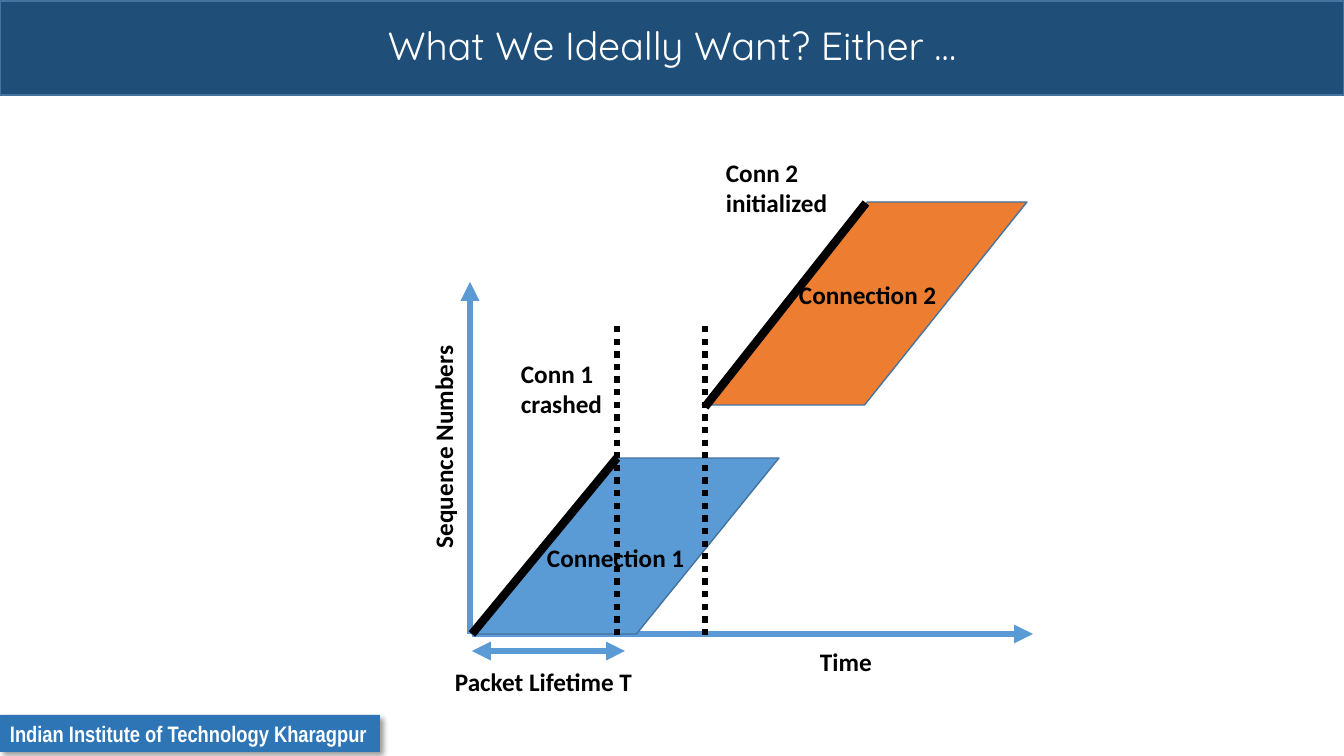
from lxml.etree import SubElement
from pptx import Presentation
from pptx.dml.color import RGBColor
from pptx.enum.dml import MSO_LINE
from pptx.enum.shapes import MSO_CONNECTOR, MSO_SHAPE
from pptx.enum.text import MSO_ANCHOR, MSO_AUTO_SIZE, PP_ALIGN
from pptx.oxml.ns import qn
from pptx.util import Emu, Pt

SLIDE_WIDTH, SLIDE_HEIGHT = 1344, 756
EMU_PER_PX = 12192000 / SLIDE_WIDTH

BLUE, ORANGE, OUTLINE = "5B9BD5", "ED7D31", "43739E"
BLACK, WHITE = "000000", "FFFFFF"

TITLE_FONT = {"name": "Quicksand", "size": Pt(28), "bold": False}
FOOTER_FONT = {"name": "Arial Narrow", "size": Pt(16), "bold": True}
LABEL_FONT = {"name": "Calibri", "size": Pt(18), "bold": True}

# Shared positions of the diagram
ORIGIN_X, AXIS_Y = 472, 634
CRASH_X, RESTART_X = 617, 705
CRASH_Y = 458


def px(*lengths):
    return [Emu(round(length * EMU_PER_PX)) for length in lengths]


def color(hex_value):
    return RGBColor.from_string(hex_value)


def write_text(shape, text, font_format, text_color, frame_format, align=PP_ALIGN.LEFT):
    for name, value in frame_format.items():
        setattr(shape.text_frame, name, value)
    paragraph = shape.text_frame.paragraphs[0]
    paragraph.alignment = align
    run = paragraph.add_run()
    run.text = text
    for name, value in font_format.items():
        setattr(run.font, name, value)
    run.font.color.rgb = color(text_color)
    return paragraph


def add_block(slide, kind, box, fill, outline=None):
    shape = slide.shapes.add_shape(kind, *px(*box))
    shape.shadow.inherit = False
    shape.fill.solid()
    shape.fill.fore_color.rgb = color(fill)
    if outline:
        shape.line.color.rgb = color(outline)
        shape.line.width = Pt(1)
    else:
        shape.line.fill.background()
    return shape


def add_parallelogram(slide, box, slant, fill):
    shape = add_block(slide, MSO_SHAPE.PARALLELOGRAM, box, fill, OUTLINE)
    shape.adjustments[0] = slant


def add_label(slide, text, box, wrap=False, rotation=0):
    label = slide.shapes.add_textbox(*px(*box))
    label.rotation = rotation
    frame_format = {"word_wrap": wrap, "auto_size": MSO_AUTO_SIZE.SHAPE_TO_FIT_TEXT}
    write_text(label, text, LABEL_FONT, BLACK, frame_format)


def add_line(slide, ends, line_color, width, dash=None, arrows=()):
    connector = slide.shapes.add_connector(MSO_CONNECTOR.STRAIGHT, *px(*ends))
    connector.line.color.rgb = color(line_color)
    connector.line.width = Pt(width)
    if dash:
        connector.line.dash_style = dash
    properties = connector.element.spPr
    for arrow in arrows:
        SubElement(properties.find(qn("a:ln")), qn(f"a:{arrow}"), type="triangle")
    SubElement(properties, qn("a:effectLst"))


def add_shadow(shape):
    effects = shape.element.spPr.find(qn("a:effectLst"))
    shadow = SubElement(effects, qn("a:outerShdw"), blurRad=str(Pt(4)),
                        dist=str(Pt(3)), dir=str(45 * 60000), algn="tl", rotWithShape="0")
    shade = SubElement(shadow, qn("a:srgbClr"), val=BLACK)
    SubElement(shade, qn("a:alpha"), val="40000")


def add_title(slide, text):
    band = add_block(slide, MSO_SHAPE.RECTANGLE, (0, 1, SLIDE_WIDTH, 94), "1F4E79", OUTLINE)
    frame_format = {"word_wrap": True, "vertical_anchor": MSO_ANCHOR.MIDDLE}
    paragraph = write_text(band, text, TITLE_FONT, WHITE, frame_format, PP_ALIGN.CENTER)
    paragraph.line_spacing = 0.9


def add_footer(slide, text):
    footer = add_block(slide, MSO_SHAPE.RECTANGLE, (0, 715, 380, 37), "2E75B6")
    add_shadow(footer)
    frame_format = {"word_wrap": False, "auto_size": MSO_AUTO_SIZE.SHAPE_TO_FIT_TEXT,
                    "vertical_anchor": MSO_ANCHOR.TOP}
    write_text(footer, text, FOOTER_FONT, WHITE, frame_format)


def main():
    presentation = Presentation()
    presentation.slide_width, presentation.slide_height = px(SLIDE_WIDTH, SLIDE_HEIGHT)
    slide = presentation.slides.add_slide(presentation.slide_layouts[6])

    # Title and footer
    add_title(slide, "What We Ideally Want? Either …")
    add_footer(slide, "Indian Institute of Technology Kharagpur")

    # Axes
    add_line(slide, (ORIGIN_X, AXIS_Y, 1033, AXIS_Y), BLUE, 4.5, arrows=["tailEnd"])
    add_line(slide, (470, AXIS_Y, 470, 282), BLUE, 4.5, arrows=["tailEnd"])

    # Connection areas and packet lifetime
    add_parallelogram(slide, (ORIGIN_X, CRASH_Y, 307, AXIS_Y - CRASH_Y), 0.81, BLUE)
    add_parallelogram(slide, (RESTART_X, 202, 322, 203), 0.8, ORANGE)
    add_line(slide, (ORIGIN_X, 651, 625, 651), BLUE, 4.5, arrows=["headEnd", "tailEnd"])

    # Axis and area labels
    add_label(slide, "Packet Lifetime T", (445, 661, 200, 40))
    add_label(slide, "Time", (810, 641, 73, 40))
    add_label(slide, "Sequence Numbers", (331, 426, 224, 40), rotation=270)
    add_label(slide, "Connection 1", (537, 537, 159, 40))
    add_label(slide, "Connection 2", (789, 274, 159, 40))

    # Crash and restart moments
    for moment_x in (CRASH_X, RESTART_X):
        add_line(slide, (moment_x, 326, moment_x, 641), BLACK, 4.5, dash=MSO_LINE.ROUND_DOT)
    add_label(slide, "Conn 1 crashed", (511, 353, 118, 72), wrap=True)
    add_label(slide, "Conn 2 initialized", (716, 152, 143, 72), wrap=True)

    # Sequence numbers in use
    add_line(slide, (ORIGIN_X, AXIS_Y, CRASH_X, CRASH_Y), BLACK, 6)
    add_line(slide, (RESTART_X, 407, 866, 203), BLACK, 6)

    presentation.save("out.pptx")


if __name__ == "__main__":
    main()
